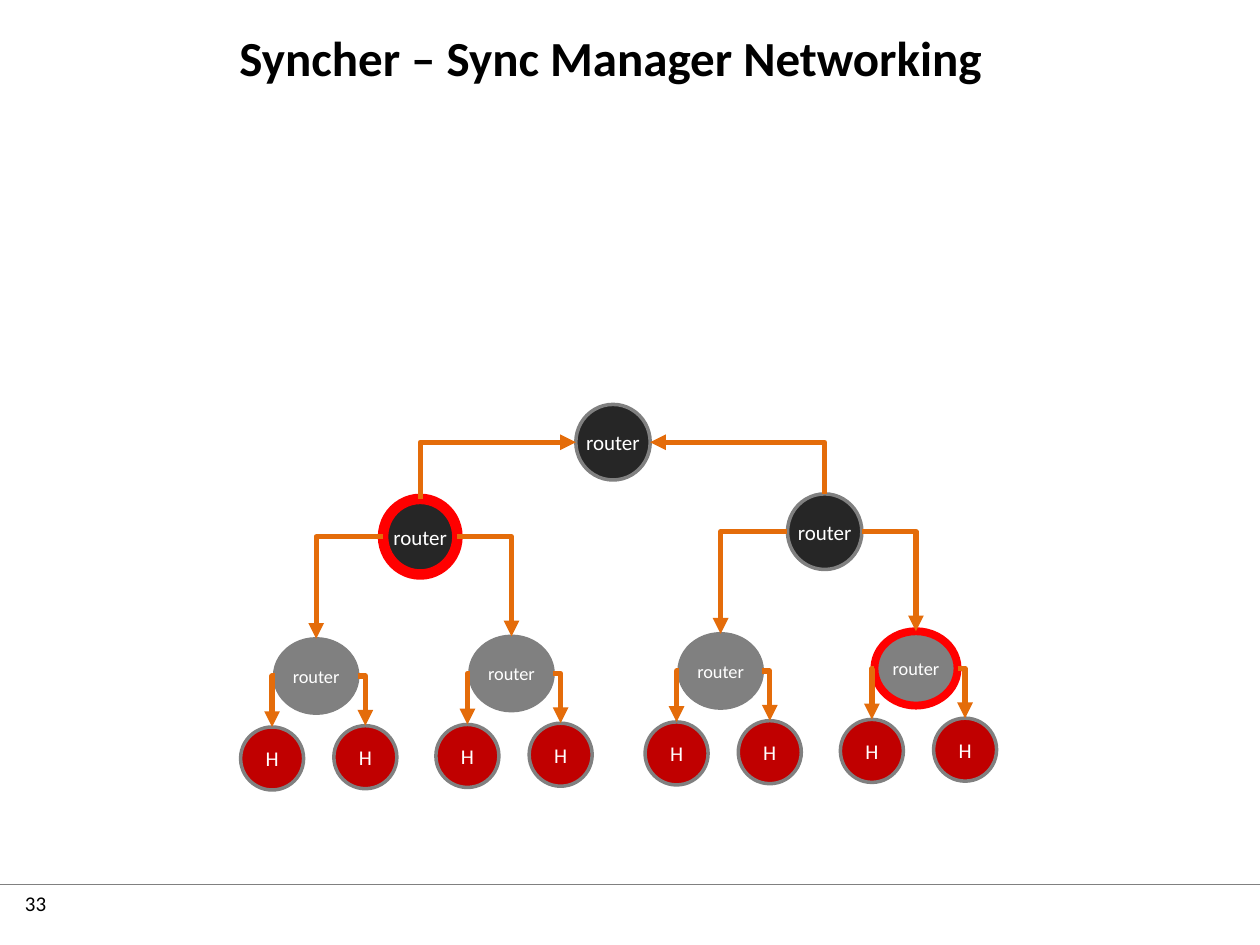
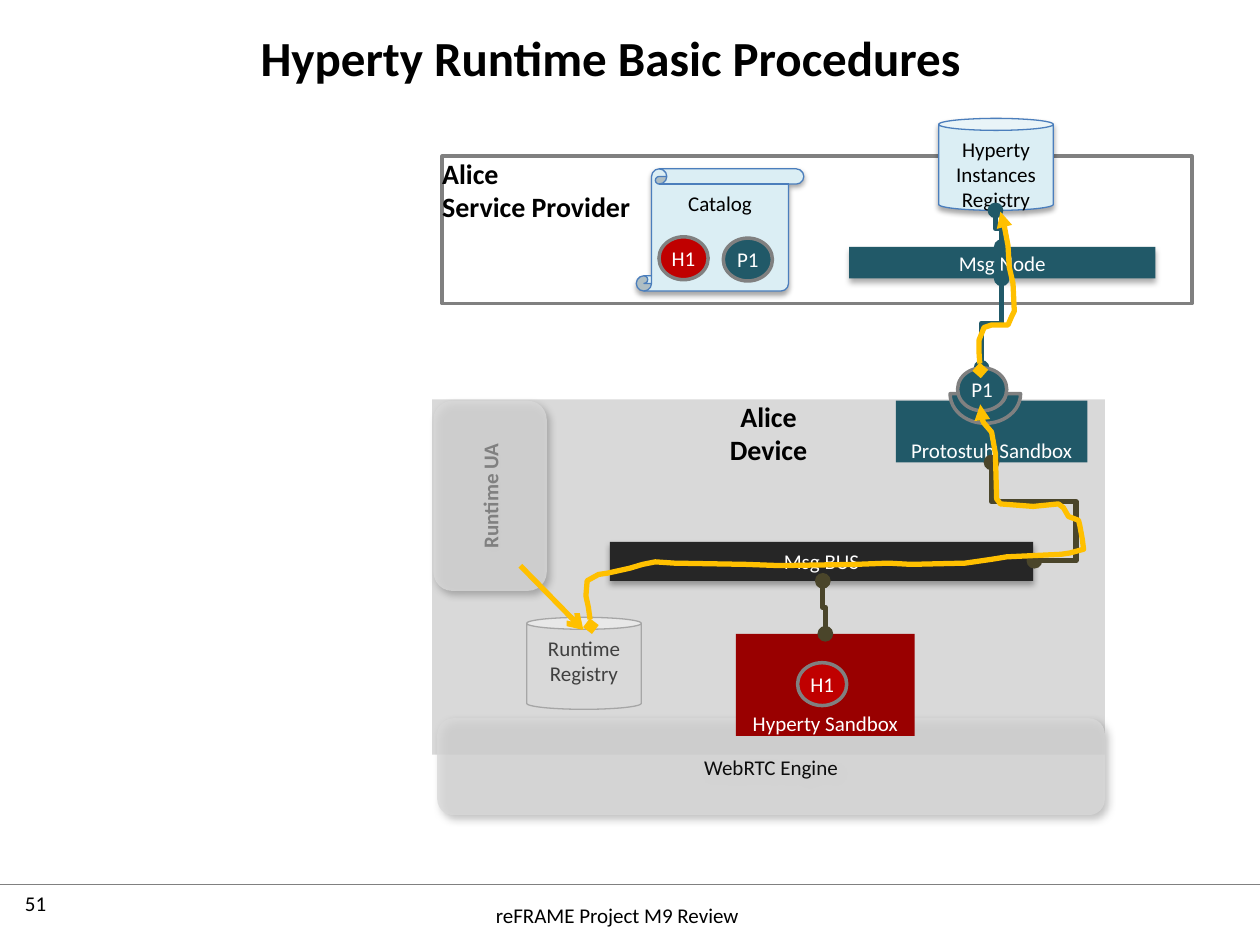
from lxml import etree
from pptx import Presentation
from pptx.dml.color import RGBColor
from pptx.enum.shapes import MSO_CONNECTOR as CONN, MSO_SHAPE as SHAPE
from pptx.enum.text import MSO_ANCHOR as ANCHOR, PP_ALIGN as ALIGN
from pptx.oxml.ns import qn
from pptx.util import Inches, Pt


class Theme:
    font = "Calibri"
    black, white, ink, soft_ink = "000000", "FFFFFF", "0D0D0D", "404040"
    grey, panel, edge, charcoal = "808080", "D9D9D9", "A6A6A6", "262626"
    red, host, sandbox = "FF0000", "C00000", "990000"
    teal, pale, blue = "215968", "DBEEF4", "4B7EBC"
    orange, olive, yellow = "E46C0A", "4A452A", "FFC000"
    title, heading, body, small = 28, 16, 12, 10.5
    outline, link = 2, 3
    glass_shadow = (30, 4.5, 2.6, 53)
    bar_shadow = (32, 3.5, 2.2, 90)
    paper_shadow = (35, 3.1, 1.8, 90)


def add_box(s, kind, at, text="", fill=None, line=None, width=Theme.outline, size=Theme.body,
            color=Theme.white, bold=False, align=ALIGN.CENTER, anchor=ANCHOR.MIDDLE,
            tight=True, shadow=None, alpha=None):
    at = [Inches(v) for v in at]
    if kind is None:
        sp = s.shapes.add_textbox(*at)
    else:
        sp = s.shapes.add_shape(kind, *at)
        sp.shadow.inherit = False
    if fill:
        sp.fill.solid()
        sp.fill.fore_color.rgb = RGBColor.from_string(fill)
        if alpha:
            clr = sp._element.spPr.find(qn("a:solidFill"))[0]
            etree.SubElement(clr, qn("a:alpha"), val=str(alpha * 1000))
    else:
        sp.fill.background()
    if line:
        sp.line.color.rgb = RGBColor.from_string(line)
        sp.line.width = Pt(width)
    else:
        sp.line.fill.background()
    if shadow:
        opacity, blur, dist, angle = shadow
        effects = sp._element.spPr.find(qn("a:effectLst"))
        outer = etree.SubElement(effects, qn("a:outerShdw"), blurRad=str(Pt(blur)),
                                 dist=str(Pt(dist)), dir=str(angle * 60000), rotWithShape="0")
        clr = etree.SubElement(outer, qn("a:srgbClr"), val=Theme.black)
        etree.SubElement(clr, qn("a:alpha"), val=str(opacity * 1000))
    tf = sp.text_frame
    tf.word_wrap = not tight
    tf.vertical_anchor = anchor
    if tight:
        tf.margin_left = tf.margin_right = tf.margin_top = tf.margin_bottom = 0
    if text:
        tf.text = text
    for p in tf.paragraphs:
        p.alignment = align
        for r in p.runs:
            r.font.name, r.font.size, r.font.bold = Theme.font, Pt(size), bold
            r.font.color.rgb = RGBColor.from_string(color)
    return sp


def style_line(sp, color, width=Theme.link, head=None, tail=None):
    sp.line.color.rgb = RGBColor.from_string(color)
    sp.line.width = Pt(width)
    ln = sp.line._get_or_add_ln()
    etree.SubElement(ln, qn("a:round"))
    for tag, end in (("a:headEnd", head), ("a:tailEnd", tail)):
        if end:
            etree.SubElement(ln, qn(tag), type=end)
    etree.SubElement(sp._element.spPr, qn("a:effectLst"))


prs = Presentation()
prs.slide_width, prs.slide_height = Inches(10), Inches(7.5)

slides = []
for number, title in (("33", "Syncher – Sync Manager Networking"),
                      ("51", "Hyperty Runtime Basic Procedures")):
    s = prs.slides.add_slide(prs.slide_layouts[6])
    add_box(s, None, (0.1, 7.02, 0.8, 0.4), number, color=Theme.black, align=ALIGN.LEFT,
            anchor=ANCHOR.TOP, tight=False)
    rule = s.shapes.add_connector(CONN.STRAIGHT, 0, Inches(7.02), Inches(10), Inches(7.02))
    style_line(rule, Theme.grey, 0.75)
    add_box(s, None, (0.91, 0.19, 7.87, 0.52), title, size=Theme.title, color=Theme.black,
            bold=True, tight=False)
    slides.append(s)
tree, runtime = slides

router_w, router_h = 0.59, 0.6
leaf_w, leaf_h = 0.66, 0.59
host_d = 0.5
root_x, root_y = 4.57, 3.21
links = []
add_box(tree, SHAPE.OVAL, (root_x, root_y, router_w, router_h), "router", Theme.charcoal, Theme.grey)
for side, (x, y, ring, ring_w) in enumerate(((3.04, 3.96, Theme.red, 6),
                                             (6.25, 3.92, Theme.grey, Theme.outline))):
    add_box(tree, SHAPE.OVAL, (x, y, router_w, router_h), "router", Theme.charcoal, ring, ring_w)
    links.append((root_x + side * router_w, root_y + router_h / 2, x + router_w / 2, y,
                  "triangle", None))
    for branch, (dx, dy) in enumerate(((-0.86, 1.11), (0.69, 1.09))):
        leaf_x, leaf_y = x + dx, y + dy
        ring, ring_w = (Theme.red, 4.5) if side and branch else (Theme.grey, Theme.outline)
        add_box(tree, SHAPE.OVAL, (leaf_x, leaf_y, leaf_w, leaf_h), "router", Theme.grey,
                ring, ring_w, Theme.small)
        links.append((x + branch * router_w, y + router_h / 2, leaf_x + leaf_w / 2, leaf_y,
                      None, "triangle"))
        for twig, (hx, hy) in enumerate(((-0.27, 0.7), (0.47, 0.69))):
            host_x, host_y = leaf_x + hx, leaf_y + hy
            add_box(tree, SHAPE.OVAL, (host_x, host_y, host_d, host_d), "H", Theme.host, Theme.grey)
            links.append((leaf_x + twig * leaf_w, leaf_y + leaf_h / 2, host_x + host_d / 2, host_y,
                          None, "triangle"))
for x1, y1, x2, y2, head, tail in links:
    c = tree.shapes.add_connector(CONN.ELBOW, Inches(x1), Inches(y1), Inches(x2), Inches(y2))
    c._element.spPr.find(qn("a:prstGeom")).set("prst", "bentConnector2")
    style_line(c, Theme.orange, head=head, tail=tail)

s = runtime
label = dict(size=Theme.heading, color=Theme.black, bold=True, anchor=ANCHOR.TOP)
glass = dict(fill=Theme.panel, alpha=79, shadow=Theme.glass_shadow)
paper = dict(fill=Theme.pale, line=Theme.blue, width=0.75, color=Theme.black,
             anchor=ANCHOR.TOP, tight=False, shadow=Theme.paper_shadow)

add_box(s, SHAPE.RECTANGLE, (3.43, 3.17, 5.34, 2.82), "Alice\nDevice", Theme.panel, **label)
add_box(s, SHAPE.ROUNDED_RECTANGLE, (3.47, 5.7, 5.3, 0.77), "WebRTC Engine",
        color=Theme.ink, **glass)
add_box(s, None, (0.47, 7.06, 8.86, 0.4), "reFRAME Project M9 Review", color=Theme.black, tight=False)
add_box(s, SHAPE.RECTANGLE, (4.84, 4.3, 3.36, 0.31), "Msg BUS", Theme.charcoal,
        shadow=Theme.bar_shadow)
add_box(s, SHAPE.RECTANGLE, (5.84, 5.03, 1.42, 0.81), "Hyperty Sandbox", Theme.sandbox,
        anchor=ANCHOR.BOTTOM)
add_box(s, SHAPE.RECTANGLE, (7.11, 3.18, 1.52, 0.49), "Protostub Sandbox", Theme.teal,
        anchor=ANCHOR.BOTTOM)
socket = add_box(s, SHAPE.BLOCK_ARC, (7.54, 2.89, 0.56, 0.47), fill=Theme.teal, line=Theme.grey)
socket.rotation = 180
add_box(s, SHAPE.RECTANGLE, (3.51, 1.24, 5.95, 1.17), "Alice\nService Provider", line=Theme.grey,
        align=ALIGN.LEFT, **label)
add_box(s, SHAPE.RECTANGLE, (6.74, 1.96, 2.43, 0.25), "Msg Node", Theme.teal,
        shadow=Theme.bar_shadow)
add_box(s, SHAPE.VERTICAL_SCROLL, (5.05, 1.34, 1.33, 0.97), "Catalog", **paper)
agent = add_box(s, SHAPE.ROUNDED_RECTANGLE, (3.44, 3.18, 0.9, 1.51), "Runtime UA",
                color=Theme.grey, bold=True, **glass)
agent.text_frame._txBody.bodyPr.set("vert", "vert270")
instances = add_box(s, SHAPE.CAN, (7.45, 0.94, 0.91, 0.73), "Hyperty Instances Registry", **paper)
registry = add_box(s, SHAPE.CAN, (4.18, 4.9, 0.91, 0.73), "Runtime Registry", Theme.panel,
                   Theme.edge, 0.75, color=Theme.soft_ink, anchor=ANCHOR.TOP, tight=False)
for can in (instances, registry):
    can.adjustments[0] = 0.13

for x1, y1, x2, y2, color, bends in (
        (6.53, 4.61, 6.55, 5.03, Theme.olive, (0.5,)),
        (7.87, 3.67, 8.21, 4.45, Theme.olive, (0.4, 1.97)),
        (7.95, 2.21, 7.79, 2.92, Theme.teal, (0.5,)),
        (7.9, 1.67, 7.95, 1.96, Theme.teal, (0.5,))):
    mid_x, mid_y = (x1 + x2) / 2, (y1 + y2) / 2
    turn = 1 if x2 > x1 else -1
    half_w, half_h = turn * (y2 - y1) / 2, abs(x2 - x1) / 2
    c = s.shapes.add_connector(CONN.ELBOW, Inches(mid_x + half_w), Inches(mid_y - half_h),
                               Inches(mid_x - half_w), Inches(mid_y + half_h))
    c._element.spPr.find(qn("a:xfrm")).set("rot", str((270 if turn > 0 else 90) * 60000))
    geom = c._element.spPr.find(qn("a:prstGeom"))
    geom.set("prst", f"bentConnector{len(bends) + 2}")
    for i, bend in enumerate(bends, 1):
        etree.SubElement(geom.find(qn("a:avLst")), qn("a:gd"), name=f"adj{i}",
                         fmla=f"val {round(bend * 100000)}")
    style_line(c, color, head="oval", tail="oval")

for x, y, name, fill in ((5.23, 1.88, "H1", Theme.host), (6.33, 5.26, "H1", Theme.host),
                         (5.74, 1.89, "P1", Theme.teal), (7.6, 2.92, "P1", Theme.teal)):
    add_box(s, SHAPE.OVAL, (x, y, 0.39, 0.34), name, fill, Theme.grey)

c = s.shapes.add_connector(CONN.STRAIGHT, Inches(4.13), Inches(4.49), Inches(4.63), Inches(5))
style_line(c, Theme.yellow, tail="arrow")

registry_to_stub = (
    (469, 497), (467, 482), (465, 473), (466, 461), (475, 456), (482, 455), (500, 451),
    (510, 448), (520, 446), (535, 447), (592, 448), (619, 449), (679, 448), (705, 447),
    (723, 448), (766, 447), (787, 444), (799, 442), (842, 440), (849, 439), (860, 436),
    (859, 428), (857, 417), (856, 413), (848, 410), (844, 403), (840, 400), (820, 402),
    (794, 400), (791, 396), (790, 360), (787, 343), (781, 336), (778, 330), (778, 321))
stub_to_instances = (
    (778, 294), (777, 280), (777, 270), (781, 260), (787, 258), (800, 258), (803, 251),
    (805, 247), (804, 225), (801, 212), (800, 195), (797, 179), (795, 175), (794, 168))
for route in (registry_to_stub, stub_to_instances):
    fb = s.shapes.build_freeform(*route[0], scale=Inches(0.01))
    fb.add_line_segments(route[1:], close=False)
    sp = fb.convert_to_shape()
    sp.fill.background()
    style_line(sp, Theme.yellow, head="diamond", tail="triangle")

prs.save("out.pptx")
